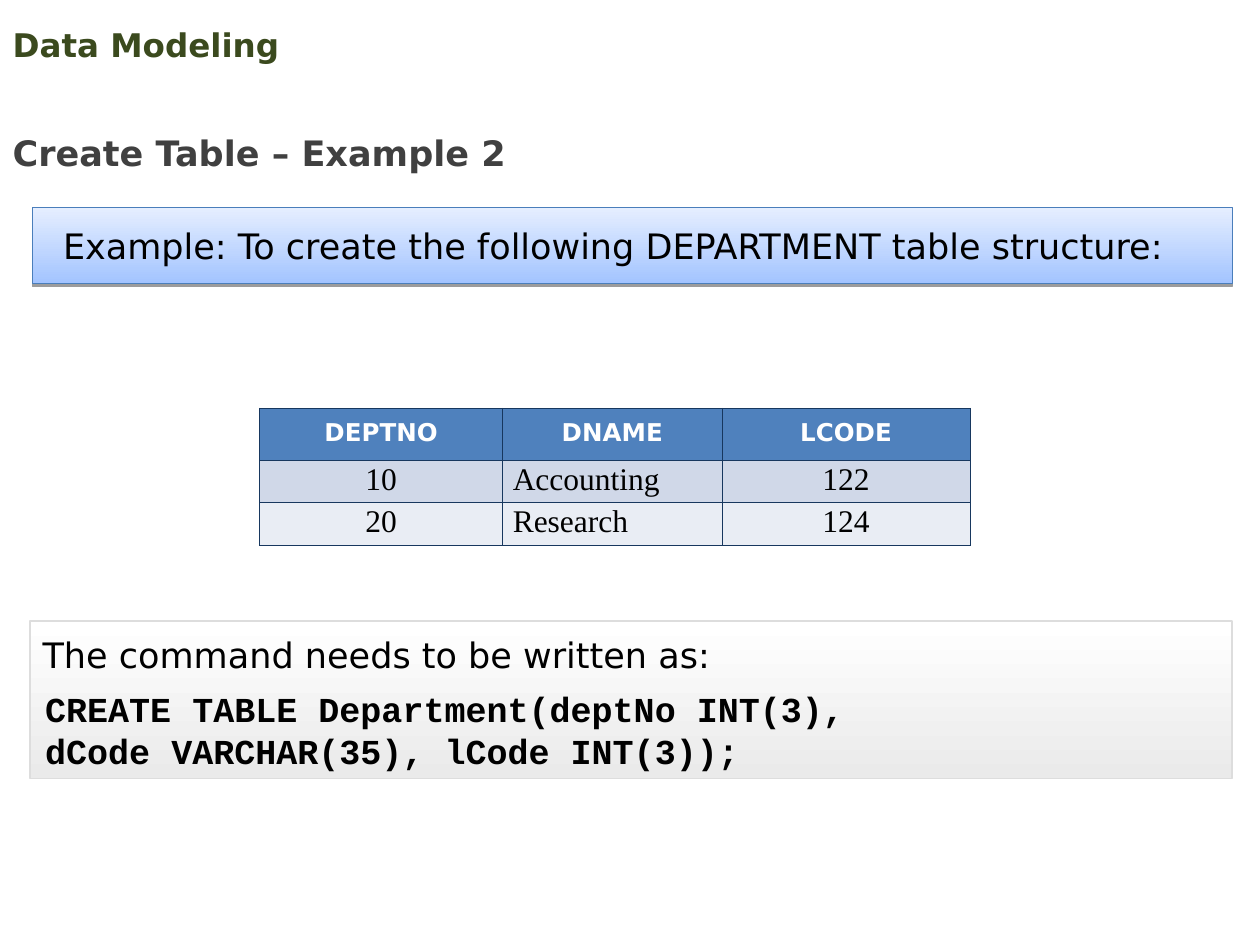
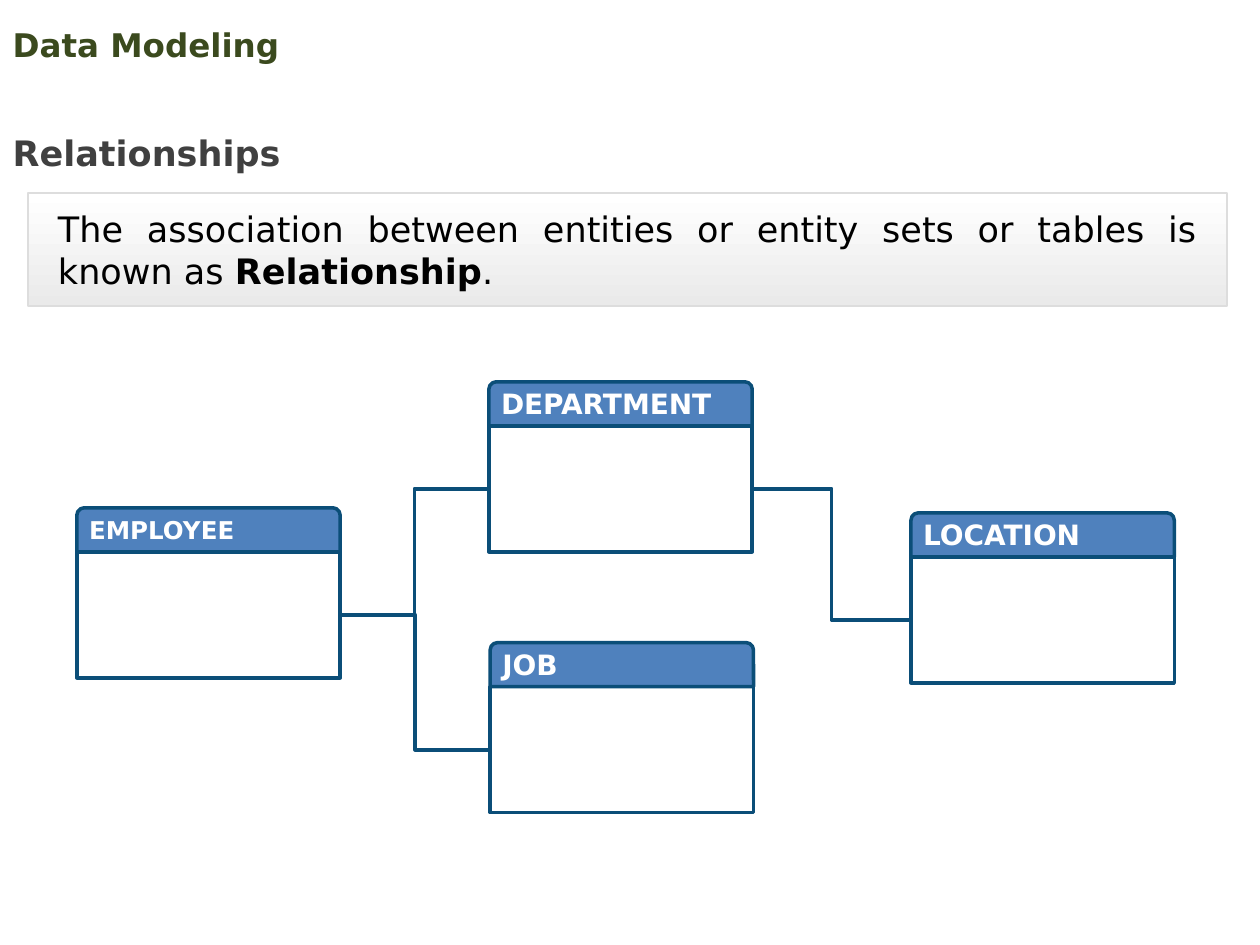
from lxml.etree import SubElement
from pptx import Presentation
from pptx.dml.color import RGBColor
from pptx.enum.shapes import MSO_CONNECTOR, MSO_SHAPE
from pptx.enum.text import MSO_ANCHOR, MSO_AUTO_SIZE, PP_ALIGN
from pptx.oxml import parse_xml
from pptx.oxml.ns import nsdecls, qn
from pptx.util import Inches, Pt

HEADING = "Data Modeling"
TABLE_TITLE = "Create Table – Example 2"
TABLE_INTRO = "Example: To create the following DEPARTMENT table structure:"
DEPARTMENT_ROWS = [
    ("DEPTNO", "DNAME", "LCODE"),
    ("10", "Accounting", "122"),
    ("20", "Research", "124"),
]
COLUMN_WIDTHS = (1.93, 1.74, 1.97)
ROW_HEIGHTS = (0.41, 0.33, 0.33)
COMMAND_INTRO = "The command needs to be written as:"
COMMAND = ["CREATE TABLE Department(deptNo INT(3),", "dCode VARCHAR(35), lCode INT(3));"]

RELATION_TITLE = "Relationships"
DEFINITION = [
    ("The association between entities or entity sets or tables is known as ", False),
    ("Relationship", True),
    (".", False),
]
ENTITIES = {
    "JOB": (3.89, 5.1, 16),
    "EMPLOYEE": (0.61, 4.03, 14),
    "DEPARTMENT": (3.88, 3.03, 16),
    "LOCATION": (7.23, 4.07, 16),
}
RELATIONS = [("EMPLOYEE", "DEPARTMENT"), ("EMPLOYEE", "JOB"), ("DEPARTMENT", "LOCATION")]
ENTITY_WIDTH, HEADER_HEIGHT, BODY_HEIGHT = 2.09, 0.35, 1
LEFT_SIDE, RIGHT_SIDE = 1, 3

SANS, SERIF, MONO = "DejaVu Sans", "Times New Roman", "Courier New"
BLACK = RGBColor(0x00, 0x00, 0x00)
WHITE = RGBColor(0xFF, 0xFF, 0xFF)
OLIVE = RGBColor(0x3B, 0x4A, 0x1E)
DARK_GREY = RGBColor(0x40, 0x40, 0x40)
PALE_GREY = RGBColor(0xEA, 0xEA, 0xEA)
EDGE_GREY = RGBColor(0xDD, 0xDD, 0xDD)
PALE_BLUE = RGBColor(0xE5, 0xEE, 0xFF)
SKY_BLUE = RGBColor(0xA3, 0xC4, 0xFF)
EDGE_BLUE = RGBColor(0x4A, 0x7E, 0xBB)
HEADER_BLUE = RGBColor(0x4F, 0x81, 0xBD)
ENTITY_LINE = RGBColor(0x0B, 0x4E, 0x78)
CELL_LINE = RGBColor(0x17, 0x37, 0x5E)
ROW_FILLS = (HEADER_BLUE, RGBColor(0xD0, 0xD8, 0xE8), RGBColor(0xE9, 0xED, 0xF4))


def write(frame, paragraphs, size=20, font=SANS, color=BLACK, bold=False, align=PP_ALIGN.LEFT,
          anchor=MSO_ANCHOR.TOP, margins=(0.1, 0.05, 0.1, 0.05), spacing=None, plain=False):
    frame.word_wrap = True
    frame.auto_size = MSO_AUTO_SIZE.NONE
    frame.vertical_anchor = anchor
    frame.margin_left, frame.margin_top, frame.margin_right, frame.margin_bottom = map(Inches, margins)
    write_paragraphs(frame, paragraphs, size, font, color, bold, align, spacing, plain)


def write_paragraphs(frame, paragraphs, size, font, color, bold, align, spacing=None, plain=False):
    for index, content in enumerate(paragraphs):
        para = frame.add_paragraph() if index else frame.paragraphs[0]
        para.alignment = align
        if spacing:
            para.line_spacing = spacing
        if plain:
            para.space_before = Pt(0)
            properties = para._p.get_or_add_pPr()
            properties.set("marL", "0")
            properties.set("indent", "0")
            SubElement(properties, qn("a:buNone"))
        spans = [(content, bold)] if isinstance(content, str) else content
        for text, heavy in spans:
            span = para.add_run()
            span.text = text
            span.font.size = Pt(size)
            span.font.name = font
            span.font.bold = heavy
            span.font.color.rgb = color


def place(shape, left, top, width, height):
    shape.left, shape.top = Inches(left), Inches(top)
    shape.width, shape.height = Inches(width), Inches(height)


def add_page(deck, title):
    page = deck.slides.add_slide(deck.slide_layouts[1])
    heading, subtitle = page.placeholders
    place(heading, 0, 0.14, 9, 0.43)
    write(heading.text_frame, [HEADING], size=18.6, color=OLIVE, bold=True, anchor=MSO_ANCHOR.MIDDLE)
    place(subtitle, 0, 0.83, 8.28, 0.6)
    write(subtitle.text_frame, [title], color=DARK_GREY, bold=True, spacing=1.5, plain=True)
    return page


def add_box(shapes, kind, bounds, line, weight):
    box = shapes.add_shape(kind, *map(Inches, bounds))
    box.shadow.inherit = False
    box.line.color.rgb = line
    box.line.width = Pt(weight)
    return box


def add_panel(page, bounds, colors, line, weight):
    panel = add_box(page.shapes, MSO_SHAPE.RECTANGLE, bounds, line, weight)
    panel.fill.gradient()
    panel.fill.gradient_angle = 270
    for stop, color in zip(panel.fill.gradient_stops, colors):
        stop.color.rgb = color
    return panel


def add_drop_shadow(shape):
    effects = shape._element.spPr.find(qn("a:effectLst"))
    effects.append(parse_xml(
        f'<a:outerShdw {nsdecls("a")} blurRad="0" dist="{Pt(1.6)}" dir="5400000" rotWithShape="0">'
        '<a:srgbClr val="000000"><a:alpha val="38000"/></a:srgbClr></a:outerShdw>'))


def set_borders(cell):
    properties = cell._tc.get_or_add_tcPr()
    for index, side in enumerate(("lnL", "lnR", "lnT", "lnB")):
        properties.insert(index, parse_xml(
            f'<a:{side} {nsdecls("a")} w="{Pt(0.45)}"><a:solidFill>'
            f'<a:srgbClr val="{CELL_LINE}"/></a:solidFill></a:{side}>'))


def add_department_table(page):
    bounds = (2.06, 3.24, sum(COLUMN_WIDTHS), sum(ROW_HEIGHTS))
    table = page.shapes.add_table(len(DEPARTMENT_ROWS), len(COLUMN_WIDTHS), *map(Inches, bounds)).table
    for column, width in zip(table.columns, COLUMN_WIDTHS):
        column.width = Inches(width)
    for row, height in zip(table.rows, ROW_HEIGHTS):
        row.height = Inches(height)
    for row, values in enumerate(DEPARTMENT_ROWS):
        header = row == 0
        for column, value in enumerate(values):
            cell = table.cell(row, column)
            cell.fill.solid()
            cell.fill.fore_color.rgb = ROW_FILLS[row]
            cell.vertical_anchor = MSO_ANCHOR.MIDDLE if header else MSO_ANCHOR.TOP
            cell.margin_left = cell.margin_right = Inches(0.1 if header else 0.08)
            set_borders(cell)
            write_paragraphs(
                cell.text_frame, [value], size=14 if header else 18, font=SANS if header else SERIF,
                color=WHITE if header else BLACK, bold=header, spacing=0.86,
                align=PP_ALIGN.CENTER if header or column != 1 else PP_ALIGN.LEFT)


def add_entity(page, name, left, top, size):
    group = page.shapes.add_group_shape()
    header = add_box(group.shapes, MSO_SHAPE.ROUND_2_SAME_RECTANGLE,
                     (left, top, ENTITY_WIDTH, HEADER_HEIGHT), ENTITY_LINE, 2)
    header.fill.solid()
    header.fill.fore_color.rgb = HEADER_BLUE
    write(header.text_frame, [name], size=size, color=WHITE, bold=True,
          anchor=MSO_ANCHOR.MIDDLE, margins=(0.08, 0.03, 0.08, 0.05))
    body = add_box(group.shapes, MSO_SHAPE.RECTANGLE,
                   (left, top + HEADER_HEIGHT, ENTITY_WIDTH, BODY_HEIGHT), ENTITY_LINE, 2)
    body.fill.background()
    return body


def add_relation(page, source, target):
    middle = source.top + source.height // 2
    target_middle = target.top + target.height // 2
    link = page.shapes.add_connector(
        MSO_CONNECTOR.ELBOW, source.left + source.width, middle, target.left, target_middle)
    link.begin_connect(source, RIGHT_SIDE)
    link.end_connect(target, LEFT_SIDE)
    link.line.color.rgb = ENTITY_LINE
    link.line.width = Pt(2.25)
    SubElement(link._element.spPr, qn("a:effectLst"))


def build_table_page(deck):
    page = add_page(deck, TABLE_TITLE)
    intro = add_panel(page, (0.26, 1.65, 9.52, 0.6), (PALE_BLUE, SKY_BLUE), EDGE_BLUE, 0.75)
    add_drop_shadow(intro)
    write(intro.text_frame, [TABLE_INTRO], align=PP_ALIGN.JUSTIFY, anchor=MSO_ANCHOR.MIDDLE,
          margins=(0.24, 0.1, 0.24, 0.1))
    add_department_table(page)
    panel = add_panel(page, (0.24, 4.93, 9.54, 1.25), (WHITE, PALE_GREY), EDGE_GREY, 1)
    write(panel.text_frame, [COMMAND_INTRO], margins=(0.1, 0.1, 0.1, 0))
    code = page.shapes.add_textbox(*map(Inches, (0.26, 5.41, 9.49, 0.77)))
    write(code.text_frame, COMMAND, font=MONO, bold=True)


def build_relationship_page(deck):
    page = add_page(deck, RELATION_TITLE)
    bodies = {name: add_entity(page, name, *layout) for name, layout in ENTITIES.items()}
    for source, target in RELATIONS:
        add_relation(page, bodies[source], bodies[target])
    panel = add_panel(page, (0.22, 1.53, 9.52, 0.9), (WHITE, PALE_GREY), EDGE_GREY, 1)
    write(panel.text_frame, [DEFINITION], align=PP_ALIGN.JUSTIFY, anchor=MSO_ANCHOR.MIDDLE,
          margins=(0.24, 0.05, 0.24, 0.05))


def main():
    deck = Presentation()
    deck.slide_width, deck.slide_height = Inches(10), Inches(7.5)
    build_table_page(deck)
    build_relationship_page(deck)
    deck.save("out.pptx")


if __name__ == "__main__":
    main()
